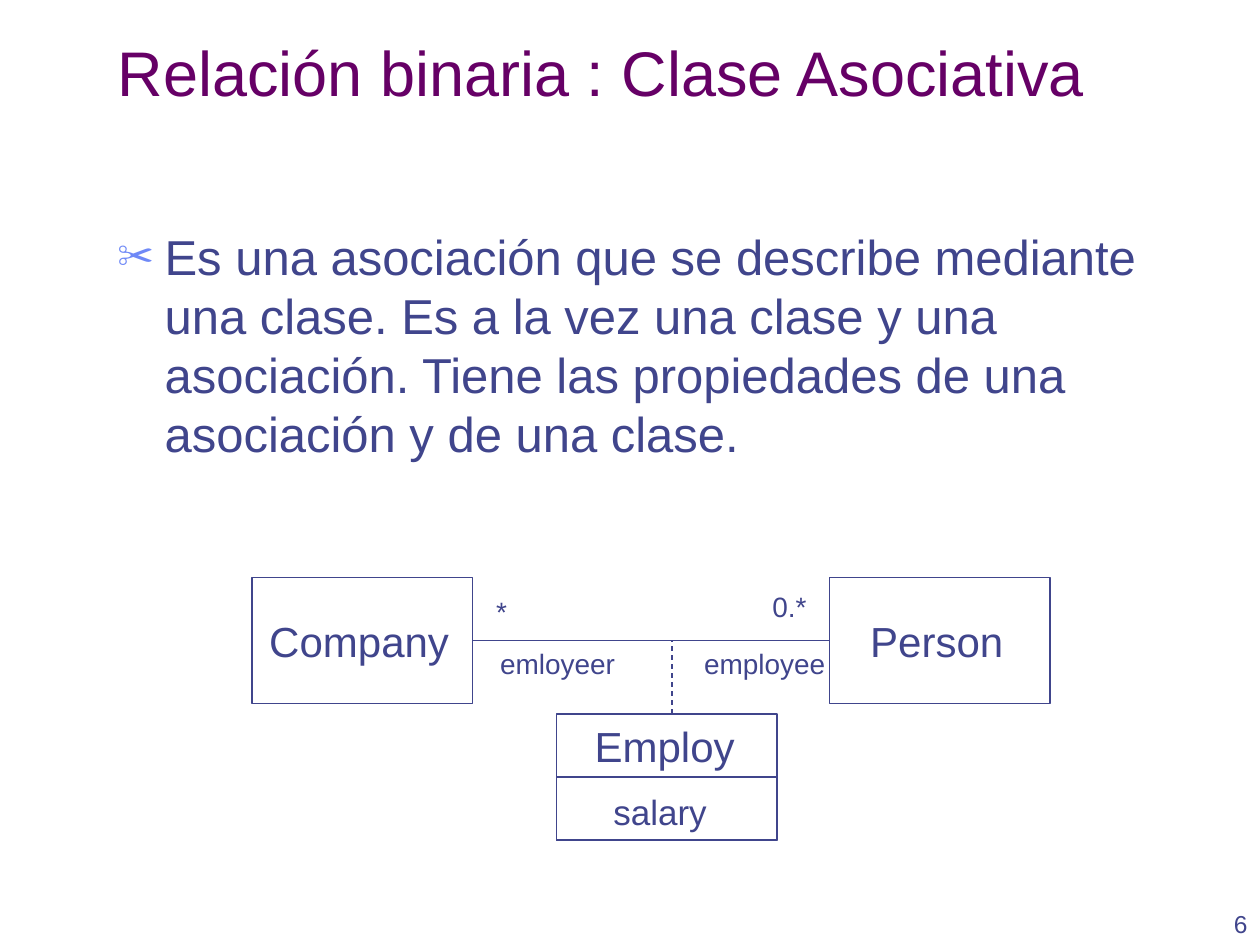
from typing import NamedTuple

from lxml.etree import SubElement
from pptx import Presentation
from pptx.dml.color import RGBColor
from pptx.enum.dml import MSO_LINE
from pptx.enum.shapes import MSO_CONNECTOR, MSO_SHAPE
from pptx.enum.text import MSO_ANCHOR, MSO_AUTO_SIZE, PP_ALIGN
from pptx.oxml.ns import qn
from pptx.util import Pt

COLORS = {"title": "660066", "ink": "40458C", "bullet": "6F89F7"}
FONT = "Arial"
BOX_WIDTH = 126
BOX_HEIGHT = 72


class Box(NamedTuple):
    left: float
    top: float
    height: float = BOX_HEIGHT


class Label(NamedTuple):
    text: str
    left: float
    top: float
    width: float
    height: float
    size: float


COMPANY = Box(144, 330)
PERSON = Box(474, 330)
EMPLOY = Box(318, 408)
SALARY = Box(318, 444, BOX_HEIGHT / 2)

LABELS = [
    Label("Company", 142.2, 348, 126, 36, 24),
    Label("Person", 485.3, 348, 100, 36, 24),
    Label("Employ", 329.8, 408, 100, 36, 24),
    Label("salary", 342.2, 448, 70, 31.5, 20),
    Label("0.*", 432.1, 333.4, 38, 26.6, 16),
    Label("*", 274.6, 336, 24, 26.6, 16),
    Label("employee", 393, 366, 88, 26.6, 16),
    Label("emloyeer", 276.6, 366, 84, 26.6, 16),
]


def rgb(name: str) -> RGBColor:
    return RGBColor.from_string(COLORS[name])


def add_run(paragraph, text: str, size: float, color: str = "ink") -> None:
    run = paragraph.add_run()
    run.text = text
    run.font.name = FONT
    run.font.size = Pt(size)
    run.font.color.rgb = rgb(color)


def add_bullet(paragraph, symbol: str, indent: float) -> None:
    properties = paragraph._p.get_or_add_pPr()
    properties.set("marL", str(Pt(indent)))
    properties.set("indent", str(Pt(-indent)))
    color = SubElement(properties, qn("a:buClr"))
    SubElement(color, qn("a:srgbClr"), val=COLORS["bullet"])
    SubElement(properties, qn("a:buSzPct"), val="75000")
    SubElement(properties, qn("a:buFont"), typeface=FONT)
    SubElement(properties, qn("a:buChar"), char=symbol)


def add_label(slide, label: Label) -> None:
    frame = slide.shapes.add_textbox(
        Pt(label.left), Pt(label.top), Pt(label.width), Pt(label.height)
    ).text_frame
    frame.word_wrap = False
    frame.auto_size = MSO_AUTO_SIZE.SHAPE_TO_FIT_TEXT
    paragraph = frame.paragraphs[0]
    paragraph.alignment = PP_ALIGN.CENTER
    add_run(paragraph, label.text, label.size)


def add_box(slide, box: Box):
    rectangle = slide.shapes.add_shape(
        MSO_SHAPE.RECTANGLE, Pt(box.left), Pt(box.top), Pt(BOX_WIDTH), Pt(box.height)
    )
    rectangle.shadow.inherit = False
    rectangle.fill.background()
    rectangle.line.color.rgb = rgb("ink")
    rectangle.line.width = Pt(0.75)
    return rectangle


def add_line(slide, x1: float, y1: float, x2: float, y2: float):
    line = slide.shapes.add_connector(
        MSO_CONNECTOR.STRAIGHT, Pt(x1), Pt(y1), Pt(x2), Pt(y2)
    )
    line.line.color.rgb = rgb("ink")
    line.line.width = Pt(0.75)
    SubElement(line._element.spPr, qn("a:effectLst"))
    return line


def add_title(slide, text: str) -> None:
    title = slide.shapes.title
    title.left, title.top, title.width, title.height = Pt(60), Pt(12), Pt(612), Pt(54)
    frame = title.text_frame
    frame.auto_size = MSO_AUTO_SIZE.NONE
    frame.vertical_anchor = MSO_ANCHOR.BOTTOM
    paragraph = frame.paragraphs[0]
    paragraph.alignment = PP_ALIGN.LEFT
    add_run(paragraph, text, 36, "title")


def add_definition(slide, text: str) -> None:
    frame = slide.shapes.add_textbox(Pt(60), Pt(126), Pt(612), Pt(354)).text_frame
    frame.word_wrap = True
    paragraph = frame.paragraphs[0]
    add_bullet(paragraph, "✂", 27)
    add_run(paragraph, text, 28)


def add_page_number(slide, number: str) -> None:
    frame = slide.shapes.add_textbox(Pt(666.7), Pt(504), Pt(53.3), Pt(36)).text_frame
    frame.word_wrap = True
    frame.vertical_anchor = MSO_ANCHOR.BOTTOM
    paragraph = frame.paragraphs[0]
    paragraph.alignment = PP_ALIGN.RIGHT
    add_run(paragraph, number, 14)


def add_diagram(slide) -> None:
    company, person, _, _ = [
        add_box(slide, box) for box in (COMPANY, PERSON, EMPLOY, SALARY)
    ]
    middle = COMPANY.top + BOX_HEIGHT / 2
    association = add_line(
        slide, COMPANY.left + BOX_WIDTH, middle, PERSON.left, middle
    )
    association.begin_connect(company, 3)
    association.end_connect(person, 1)
    class_link = add_line(slide, 384, EMPLOY.top, 384, middle)
    class_link.line.dash_style = MSO_LINE.DASH
    for label in LABELS:
        add_label(slide, label)


def main() -> None:
    presentation = Presentation()
    presentation.slide_width, presentation.slide_height = Pt(720), Pt(540)
    slide = presentation.slides.add_slide(presentation.slide_layouts[5])
    add_page_number(slide, "6")
    add_title(slide, "Relación binaria : Clase Asociativa")
    add_definition(
        slide,
        "Es una asociación que se describe mediante una clase. "
        "Es a la vez una clase y una asociación. "
        "Tiene las propiedades de una asociación y de una clase.",
    )
    add_diagram(slide)
    presentation.save("out.pptx")


if __name__ == "__main__":
    main()
